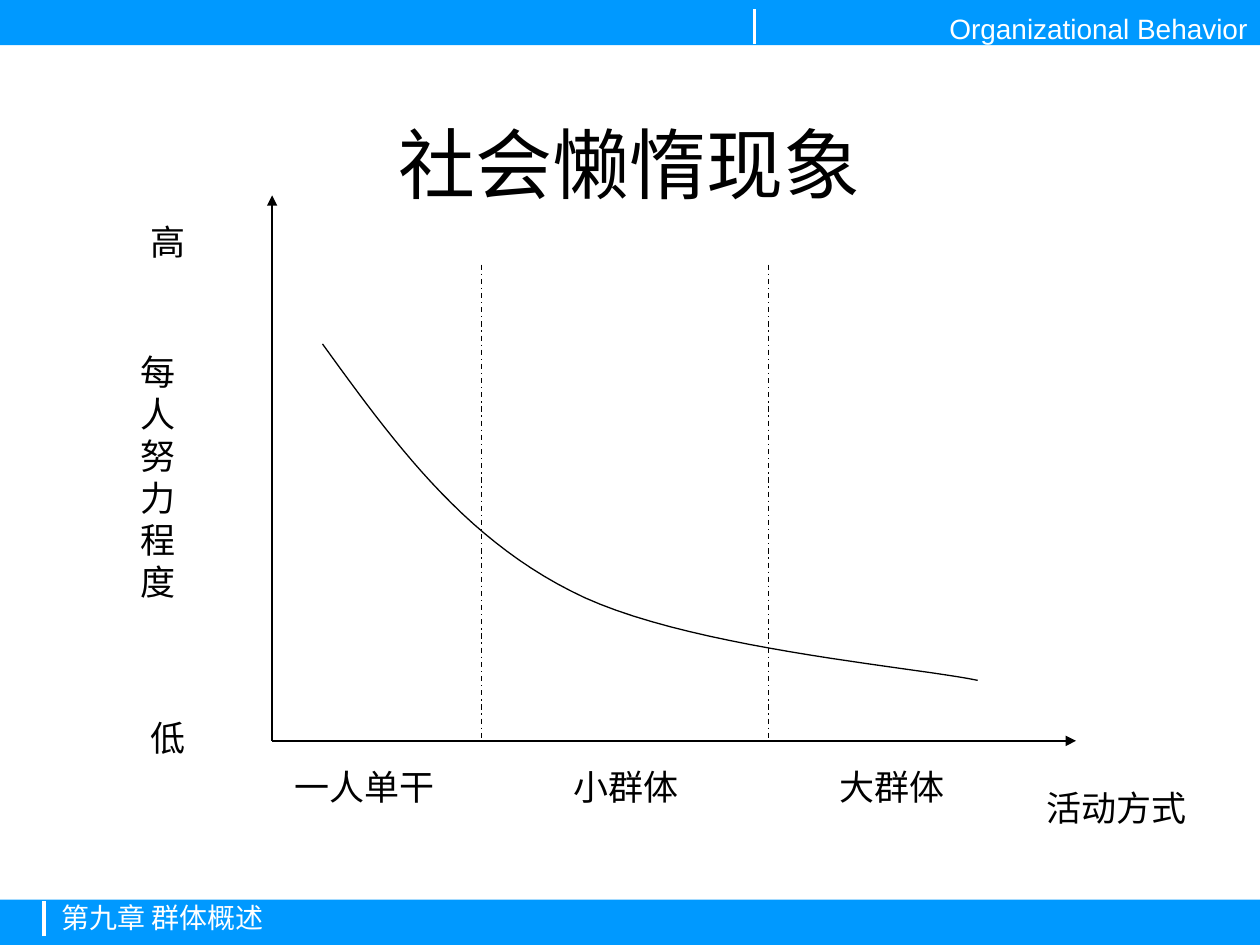
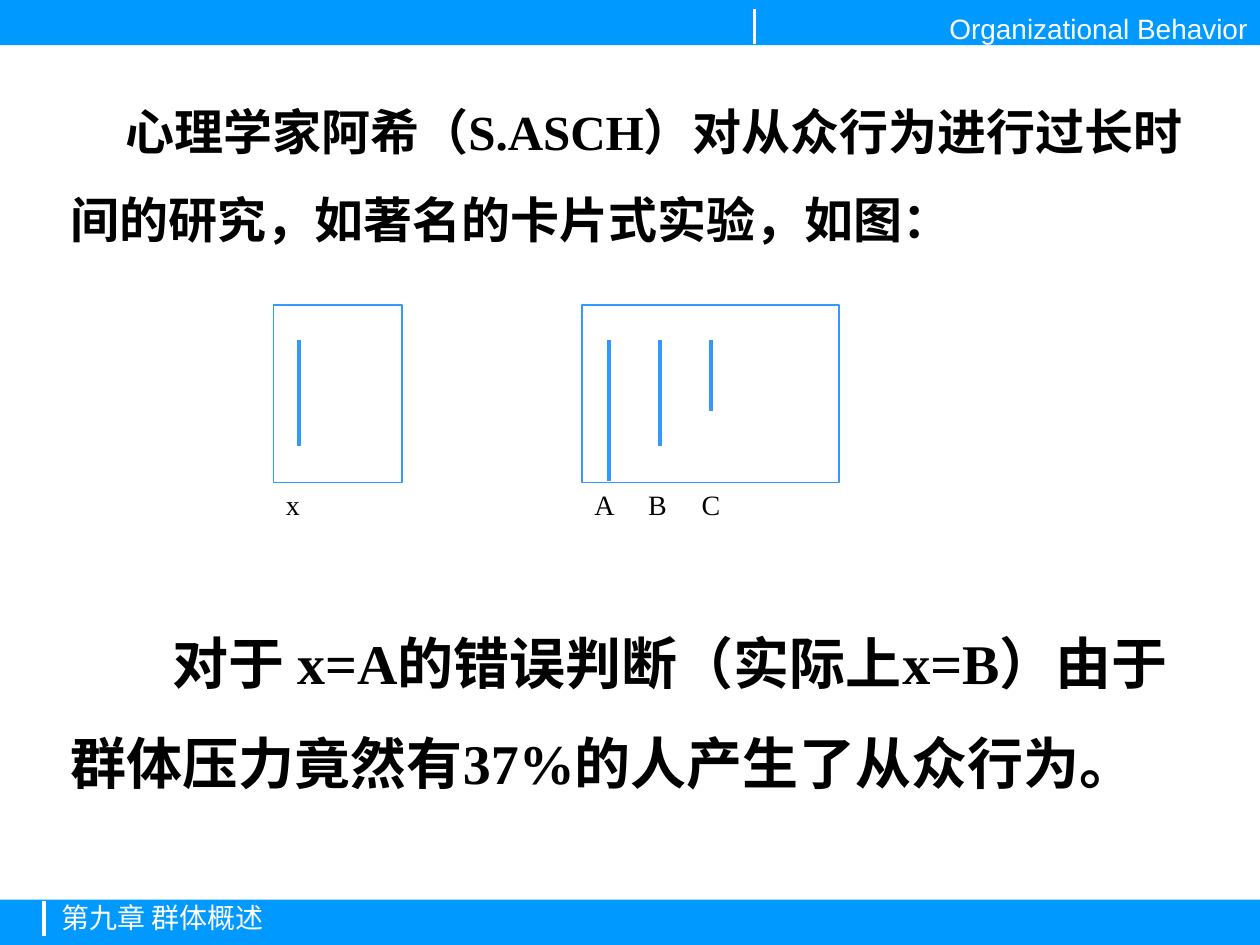
from dataclasses import dataclass

from lxml.etree import SubElement
from pptx import Presentation
from pptx.dml.color import RGBColor
from pptx.enum.dml import MSO_LINE
from pptx.enum.shapes import MSO_CONNECTOR, MSO_SHAPE
from pptx.enum.text import MSO_ANCHOR, PP_ALIGN
from pptx.oxml.ns import qn
from pptx.util import Emu, Inches, Pt


@dataclass(frozen=True)
class Theme:
    band: RGBColor = RGBColor(0x00, 0x99, 0xFF)
    card: RGBColor = RGBColor(0x33, 0x99, 0xFF)
    ink: RGBColor = RGBColor(0, 0, 0)
    paper: RGBColor = RGBColor(255, 255, 255)
    sans: str = "Arial"
    serif: str = "Times New Roman"
    title: int = 44
    close: int = 32
    lead: int = 28
    label: int = 20
    small: int = 16


look = Theme()
deck = Presentation()
deck.slide_width, deck.slide_height = Inches(10), Inches(7.5)
COLS, ROWS = 100, 75  # square grid cells
CELL = deck.slide_width / COLS


def at(*cells):
    """Turn grid cells into lengths."""
    return [Emu(round(n * CELL)) for n in cells]


def write(shape, text, size=look.label, color=look.ink, font=look.sans, bold=False,
          align=PP_ALIGN.LEFT, anchor=MSO_ANCHOR.TOP, inset=(1, 0.5, 1, 0.5),
          space=None, indent=0, tabs=()):
    """Fill a shape with one formatted paragraph."""
    frame = shape.text_frame
    frame.word_wrap = True
    frame.vertical_anchor = anchor
    (frame.margin_left, frame.margin_top,
     frame.margin_right, frame.margin_bottom) = at(*inset)
    para = frame.paragraphs[0]
    props = para._p.get_or_add_pPr()
    props.set("hangingPunct", "0")
    if indent:
        props.set("indent", str(at(indent)[0]))
    if tabs:
        stops = SubElement(props, qn("a:tabLst"))
        for stop in at(*tabs):
            SubElement(stops, qn("a:tab"), pos=str(stop), algn="l")
    para.alignment = align
    if space:
        para.line_spacing = space
    run = para.add_run()
    run.text = text
    run.font.size, run.font.name, run.font.bold = Pt(size), font, bold
    run.font.color.rgb = color


one = deck.slides.add_slide(deck.slide_layouts[5])
two = deck.slides.add_slide(deck.slide_layouts[6])
master = deck.slide_master
shared = []

# Bands at the head and foot of every slide
BAND = 3.6
for top, text, align, inset in (
        (0, "Organizational Behavior", PP_ALIGN.RIGHT, (1, 1.4, 1, 0.5)),
        (ROWS - BAND, "第九章 群体概述", PP_ALIGN.LEFT, (4.9, 0.1, 1, 0.9))):
    band = one.shapes.add_shape(MSO_SHAPE.RECTANGLE, *at(0, top, COLS, BAND))
    band.shadow.inherit = False
    band.fill.solid()
    band.fill.fore_color.rgb = look.band
    band.line.fill.background()
    write(band, text, size=look.small, color=look.paper, align=align,
          anchor=MSO_ANCHOR.MIDDLE, inset=inset)
    shared.append(band)

# Title of the effort chart
title = one.shapes.title
title.left, title.top, title.width, title.height = at(7.5, 6.7, 85, 12.5)
write(title, "社会懒惰现象", size=look.title, align=PP_ALIGN.CENTER,
      anchor=MSO_ANCHOR.MIDDLE)

# Falling effort curve, two cubic arcs
STEPS = 24
arcs = (((25.6, 27.3), (31.1, 34.9), (36.6, 42.5), (45.3, 46.9)),
        ((45.3, 46.9), (53.9, 51.4), (72.3, 52.9), (77.6, 54)))
dots = []
for a, b, c, d in arcs:
    for step in range(1, STEPS + 1):
        t = step / STEPS
        u = 1 - t
        dots.append(at(*(u**3 * p + 3 * u * u * t * q + 3 * u * t * t * r + t**3 * s
                         for p, q, r, s in zip(a, b, c, d))))
pen = one.shapes.build_freeform(*at(*arcs[0][0]))
pen.add_line_segments(dots, close=False)
curve = pen.convert_to_shape()
curve.shadow.inherit = False
curve.fill.background()
curve.line.color.rgb = look.ink
curve.line.width = Pt(0.75)

# Axis labels
mid = PP_ALIGN.CENTER
for text, box, align in (
        ("一人单干", (22.4, 60.3, 14.2, 4.4), PP_ALIGN.LEFT),
        ("小群体", (44.5, 60.3, 14.2, 4.4), PP_ALIGN.LEFT),
        ("大群体", (63.7, 60.3, 14.2, 4.4), mid),
        ("低", (9, 56.4, 8.7, 4.4), mid),
        ("高", (9, 17, 8.7, 4.4), mid),
        ("每人努力程度", (9.8, 27.3, 5.5, 21), mid),
        ("活动方式", (81.5, 61.9, 14.2, 4.4), mid)):
    write(one.shapes.add_textbox(*at(*box)), text, align=align)

# Card test: text above and below
for text, box, size, indent in (
        ("心理学家阿希（S.ASCH）对从众行为进行过长时间的研究，如著名的卡片式实验，如图：",
         (4.6, 5.2, 90.8, 15), look.lead, 4.4),
        ("对于 x=A的错误判断（实际上x=B）由于群体压力竟然有37%的人产生了从众行为。",
         (4.6, 46.7, 91.7, 17), look.close, 8.1)):
    write(two.shapes.add_textbox(*at(*box)), text, size=size, font=look.serif,
          bold=True, space=1.5, indent=indent)

# Cards with their labels
for left, width, text, span in ((21.7, 10.2, "x", 6.1),
                                (46.2, 20.4, "A\tB\tC", 14.3)):
    card = two.shapes.add_shape(MSO_SHAPE.RECTANGLE, *at(left, 24.2, width, 14.1))
    card.shadow.inherit = False
    card.fill.background()
    card.line.color.rgb = look.card
    card.line.width = Pt(0.75)
    write(two.shapes.add_textbox(*at(left, 38.2, span, 8.4)), text,
          size=look.small, font=look.serif, tabs=(4.25, 8.5))

# Straight lines: band ticks, axes, group limits, card strokes
lines = [(one, (x, low, x, low - 2.8), look.paper, 2, "tick")
         for x, low in ((59.9, 3.5), (3.5, 74.3))]
lines += [(one, (21.6, 58.8, *end), look.ink, 0.75, "axis")
          for end in ((21.6, 15.5), (85.4, 58.8))]
lines += [(one, (x, 21, x, 58.8), look.ink, 0.75, "limit") for x in (38.2, 61)]
lines += [(two, (x, 27, x, low), look.card, 2.25, "stroke")
          for x, low in ((23.7, 35.4), (48.3, 38.2), (52.4, 35.4), (56.4, 32.6))]
for home, ends, color, width, kind in lines:
    line = home.shapes.add_connector(MSO_CONNECTOR.STRAIGHT, *at(*ends))
    line.line.color.rgb = color
    line.line.width = Pt(width)
    props = line.element.spPr
    if kind == "limit":
        line.line.dash_style = MSO_LINE.DASH_DOT
    if kind == "axis":
        SubElement(props.find(qn("a:ln")), qn("a:tailEnd"), type="triangle")
    if kind == "tick":
        shared.append(line)
    SubElement(props, qn("a:effectLst"))

# Bands and ticks belong to the master
for key, part in enumerate(shared, 20):
    part.element.xpath(".//p:cNvPr")[0].set("id", str(key))
    master.shapes.element.append(part.element)

deck.save("out.pptx")
